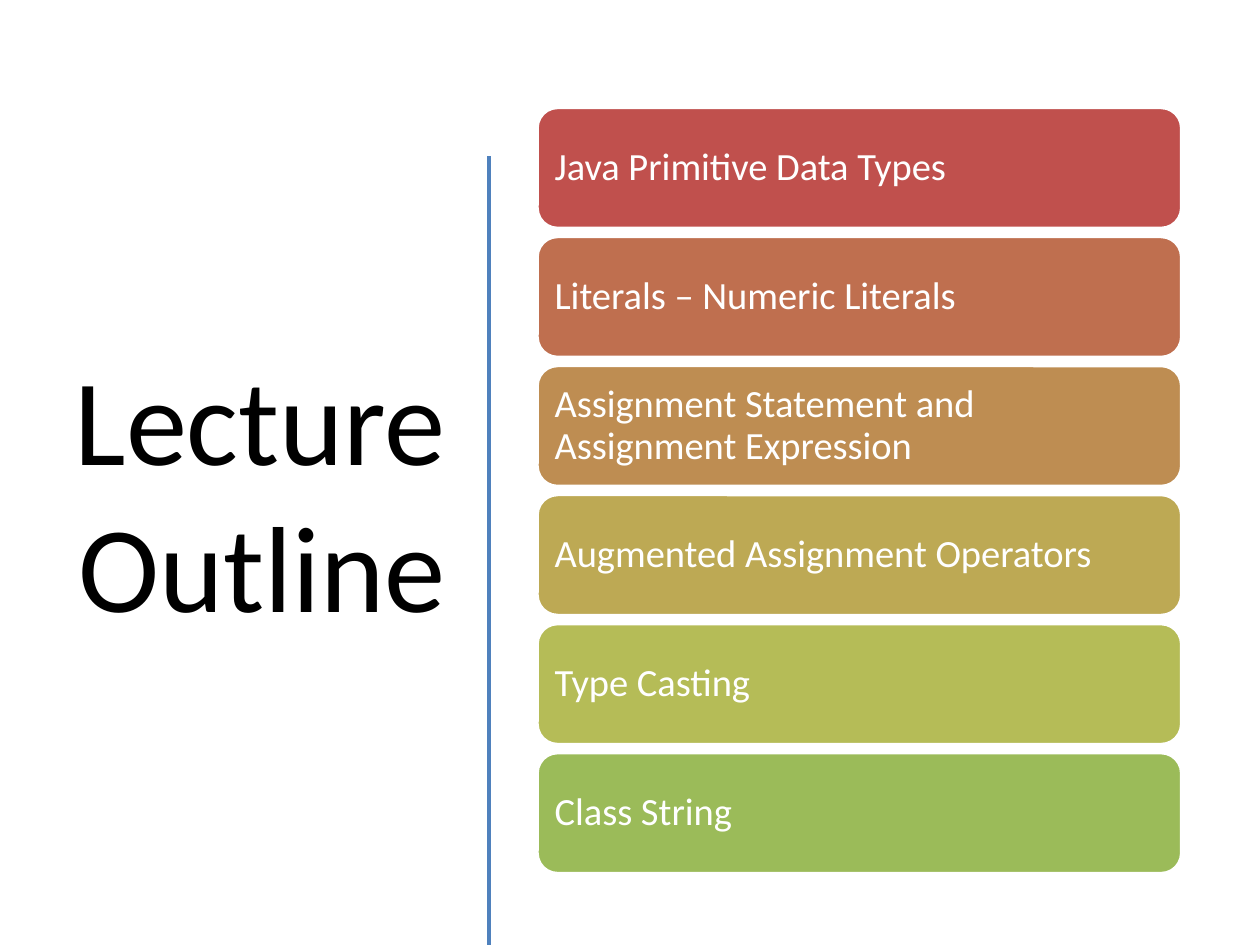
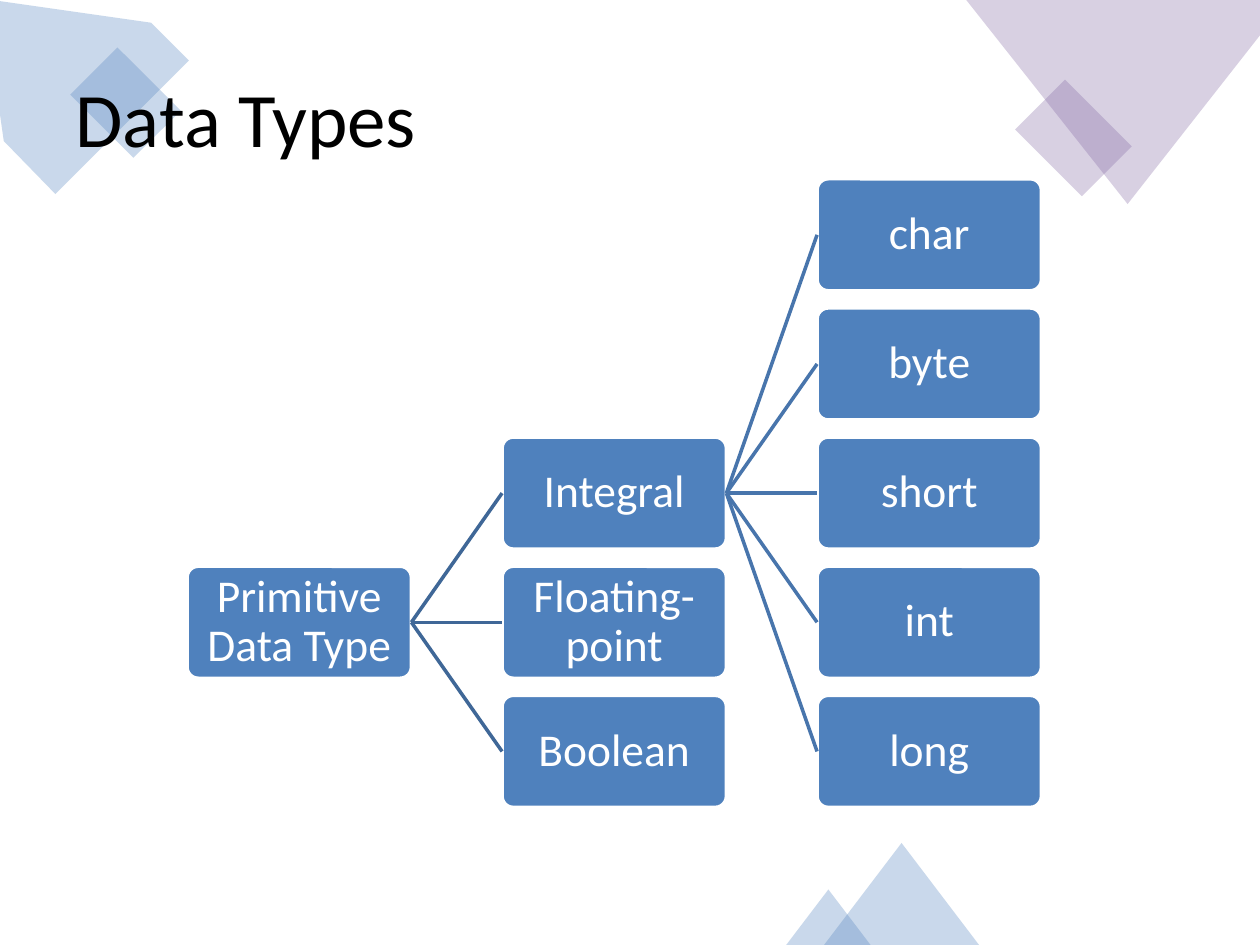
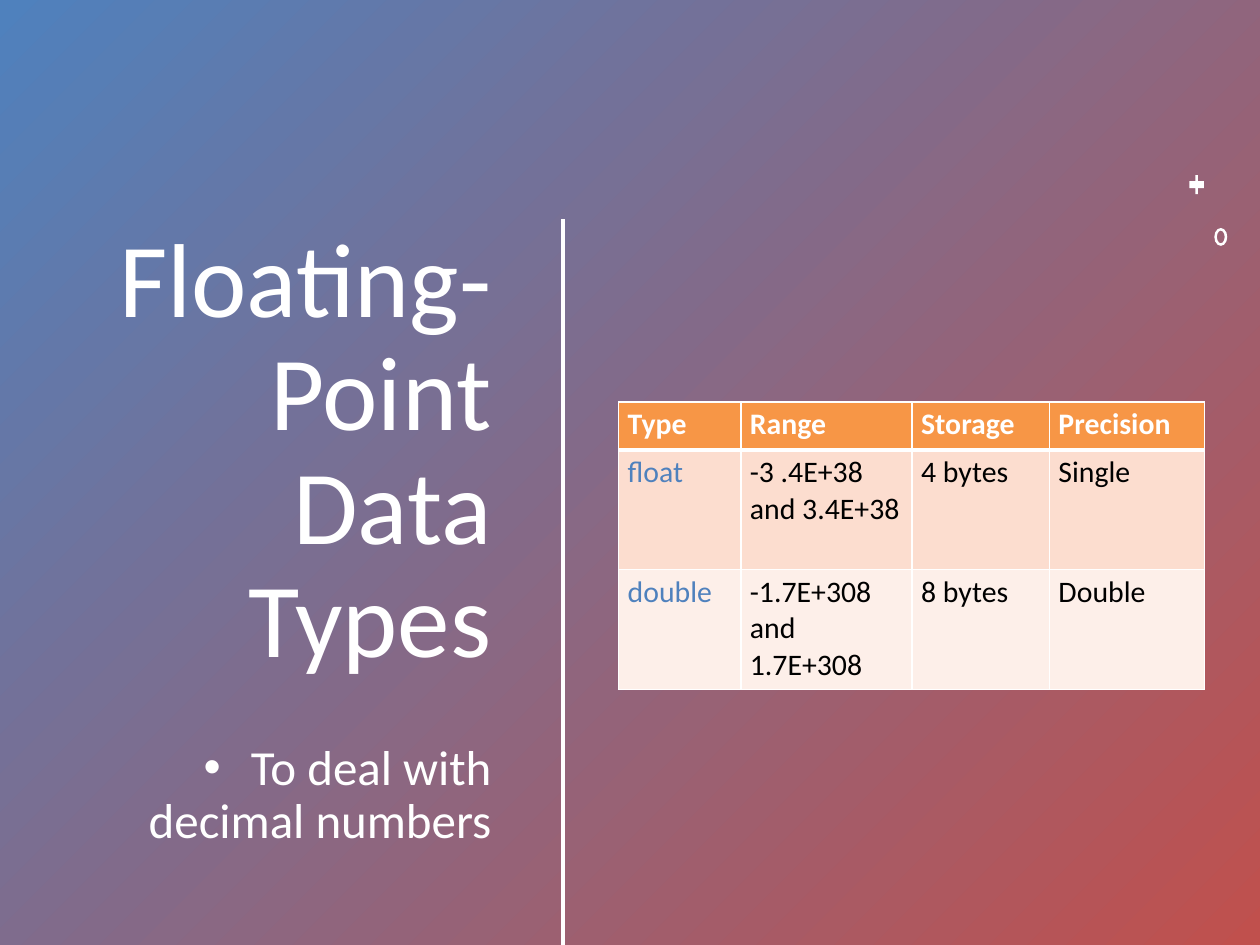
from dataclasses import dataclass

from lxml import etree
from pptx import Presentation
from pptx import util as u
from pptx.dml.color import RGBColor
from pptx.enum import shapes, text
from pptx.oxml.ns import qn


@dataclass(frozen=True)
class Theme:
    font: str = "Calibri"
    white: str = "FFFFFF"
    black: str = "000000"
    blue: str = "4F81BD"
    red: str = "C0504D"
    purple: str = "8064A2"
    header: str = "F79646"
    bands: tuple = ("FCDDCF", "FDEFE9")
    cards: tuple = ("C0504D", "BF6F4F", "BE8D52", "BDA954", "B5BC57", "9BBB59")
    root_link: str = "3F6797"
    leaf_link: str = "4875AC"
    outline_title: int = 70
    split_title: int = 60
    page_title: int = 44
    subtitle: int = 28
    node: int = 26
    card: int = 22
    cell: int = 17
    rule: int = 2
    alpha: int = 30


@dataclass(frozen=True)
class Box:
    left: float
    top: float
    width: float
    height: float

    def lengths(self):
        return [u.Pt(value) for value in (self.left, self.top, self.width, self.height)]

    def within(self, left, top, width, height):
        return Box(self.left + left, self.top + top, width, height)


THEME = Theme()
PAGE = Box(0, 0, 720, 540)
LEFT, CENTER, RIGHT = text.PP_ALIGN.LEFT, text.PP_ALIGN.CENTER, text.PP_ALIGN.RIGHT
TOP, MIDDLE = text.MSO_ANCHOR.TOP, text.MSO_ANCHOR.MIDDLE
PRESET = shapes.MSO_SHAPE


def rgb(colour):
    return RGBColor.from_string(colour)


def apply(target, values):
    for name, value in values.items():
        setattr(target, name, value)


def margins(side, end):
    return {"margin_left": u.Pt(side), "margin_right": u.Pt(side),
            "margin_top": u.Pt(end), "margin_bottom": u.Pt(end)}


def write(frame, words, size, colour, align=LEFT, spacing=1.0, bold=False):
    frame.text = words
    para = frame.paragraphs[0]
    apply(para, {"alignment": align, "line_spacing": spacing, "space_before": u.Pt(0)})
    span = para.runs[0]
    apply(span.font, {"name": THEME.font, "size": u.Pt(size), "bold": bold})
    span.font.color.rgb = rgb(colour)


def fill_placeholder(holder, box, words, size, colour, anchor, **style):
    apply(holder, dict(zip(("left", "top", "width", "height"), box.lengths())))
    apply(holder.text_frame, {"word_wrap": True, "vertical_anchor": anchor,
                              "auto_size": text.MSO_AUTO_SIZE.NONE})
    write(holder.text_frame, words, size, colour, **style)


def paint(shape, colour, alpha=None):
    shape.shadow.inherit = False
    shape.fill.solid()
    shape.fill.fore_color.rgb = rgb(colour)
    shape.line.fill.background()
    if alpha:
        etree.SubElement(shape.element.find(".//" + qn("a:srgbClr")), qn("a:alpha"),
                         val=str(alpha * 1000))
    return shape


def preset(page, kind, box, colour, alpha=None):
    return paint(page.shapes.add_shape(kind, *box.lengths()), colour, alpha)


def label_box(page, box, words, fill, size, align, inset, corner):
    shape = preset(page, PRESET.ROUNDED_RECTANGLE, box, fill)
    shape.adjustments[0] = corner
    shape.line.color.rgb = rgb(THEME.white)
    shape.line.width = u.Pt(THEME.rule)
    apply(shape.text_frame, {"word_wrap": True, "vertical_anchor": MIDDLE,
                             **margins(inset, inset)})
    write(shape.text_frame, words, size, THEME.white, align, 0.9)
    return shape


def rule(page, colour, start=(0, 0), end=(0, 0)):
    line = page.shapes.add_connector(shapes.MSO_CONNECTOR.STRAIGHT,
                                     *[u.Pt(value) for value in (*start, *end)])
    line.line.color.rgb = rgb(colour)
    line.line.width = u.Pt(THEME.rule)
    etree.SubElement(line.element.find(qn("p:spPr")), qn("a:effectLst"))
    return line


def outline_cards(page, box, topics, gap):
    height = (box.height - gap * (len(topics) - 1)) / len(topics)
    for index, (topic, colour) in enumerate(zip(topics, THEME.cards)):
        card = box.within(0, index * (height + gap), box.width, height)
        label_box(page, card, topic, colour, THEME.card, LEFT, 6.6, 0.17)


def type_tree(page, box, levels):
    width, height, column_step, row_step = 128.2, 64, 180, 73.8
    parent = None
    for column, (first_row, names, parent_index, link) in enumerate(levels):
        nodes = []
        for row, name in enumerate(names, first_row):
            place = box.within(column * column_step, row * row_step, width, height)
            node = label_box(page, place, name, THEME.blue, THEME.node, CENTER, 1.6, 0.1)
            nodes.append(node)
            if parent:
                line = rule(page, link)
                line.begin_connect(parent, 3)
                line.end_connect(node, 1)
        parent = nodes[parent_index]


def corner_decor(page, box):
    polygons = [
        (THEME.blue, [(86.4, 13), (-9.4, -0.7), (2.2, 80.6), (31.7, 110.9), (108, 34.6)]),
        (THEME.purple, [(720, 0), (552.2, 0), (644.4, 116.6), (720, 20.2)]),
    ]
    presets = [
        (PRESET.RECTANGLE, THEME.blue, 315, (52.6, 33.1, 38.2, 51.1)),
        (PRESET.RECTANGLE, THEME.purple, 315, (593.3, 51.8, 40.3, 54)),
        (PRESET.ISOSCELES_TRIANGLE, THEME.blue, 0, (470.9, 481.7, 88.6, 58.3)),
        (PRESET.ISOSCELES_TRIANGLE, THEME.blue, 0, (449.3, 508.3, 48.2, 31.7)),
    ]
    decor = []
    for colour, points in polygons:
        corners = [(u.Pt(box.left + x), u.Pt(box.top + y)) for x, y in points]
        outline = page.shapes.build_freeform(*corners[0])
        outline.add_line_segments(corners[1:], close=True)
        decor.append(paint(outline.convert_to_shape(), colour, THEME.alpha))
    for kind, colour, turn, place in presets:
        shape = preset(page, kind, box.within(*place), colour, THEME.alpha)
        shape.rotation = turn
        decor.append(shape)
    for shape in decor:
        page.shapes.title.element.addprevious(shape.element)


def gradient_backdrop(page, box):
    backdrop = preset(page, PRESET.RECTANGLE, box, THEME.blue)
    backdrop.fill.gradient()
    backdrop.fill.gradient_angle = 315
    for stop, colour, position in zip(backdrop.fill.gradient_stops,
                                      (THEME.blue, THEME.red), (0, 1)):
        stop.color.rgb = rgb(colour)
        stop.position = position
    page.shapes.title.element.addprevious(backdrop.element)


def small_marks(page, box):
    marks = [(PRESET.CROSS, (0, 0, 8.3, 10.8), 0.41),
             (PRESET.DONUT, (14.2, 30.2, 7.4, 10.2), 0.2)]
    for kind, place, adjustment in marks:
        preset(page, kind, box.within(*place), THEME.white).adjustments[0] = adjustment


def border_cell(cell, widths):
    properties = cell._tc.get_or_add_tcPr()
    for index, (side, width) in enumerate(widths.items()):
        line = etree.Element(qn("a:" + side), w=str(u.Pt(width)))
        fill = etree.SubElement(line, qn("a:solidFill"))
        etree.SubElement(fill, qn("a:srgbClr"), val=THEME.white)
        properties.insert(index, line)


def range_table(page, box, rows, widths, heights):
    table = page.shapes.add_table(len(rows), len(widths), *box.lengths()).table
    for column, width in zip(table.columns, widths):
        column.width = u.Pt(width)
    for row, height in zip(table.rows, heights):
        row.height = u.Pt(height)
    for r, row in enumerate(rows):
        for c, words in enumerate(row):
            cell = table.cell(r, c)
            head = r == 0
            apply(cell, margins(5.2, 2.6))
            cell.fill.solid()
            cell.fill.fore_color.rgb = rgb(THEME.header if head else THEME.bands[r - 1])
            colour = THEME.white if head else THEME.blue if c == 0 else THEME.black
            write(cell.text_frame, words, THEME.cell, colour, bold=head)
            border_cell(cell, {"lnL": 1, "lnR": 1, "lnT": 3 if r == 1 else 1,
                               "lnB": 3 if head else 1})


def strip_bullet(para):
    properties = para._p.get_or_add_pPr()
    apply_indent = {"marL": "0", "indent": "0"}
    for name, value in apply_indent.items():
        properties.set(name, value)
    etree.SubElement(properties, qn("a:buNone"))


def outline_slide(deck, box):
    page = deck.slides.add_slide(deck.slide_layouts[5])
    fill_placeholder(page.shapes.title, box.within(29.5, 59.8, 232.6, 439.9),
                     "Lecture Outline", THEME.outline_title, THEME.black, MIDDLE, align=RIGHT)
    x = box.left + 279.4
    rule(page, THEME.blue, (x, box.top + 89.3), (x, box.top + box.height))
    topics = ["Java Primitive Data Types", "Literals – Numeric Literals",
              "Assignment Statement and Assignment Expression",
              "Augmented Assignment Operators", "Type Casting", "Class String"]
    outline_cards(page, box.within(306.9, 61.4, 368.4, 437.8), topics, 4.6)


def tree_slide(deck, box):
    page = deck.slides.add_slide(deck.slide_layouts[5])
    fill_placeholder(page.shapes.title, box.within(36, 21.6, 648, 90),
                     "Data Types", THEME.page_title, THEME.black, MIDDLE)
    corner_decor(page, box)
    levels = [
        (3, ["Primitive Data Type"], 0, None),
        (2, ["Integral", "Floating-point", "Boolean"], 0, THEME.root_link),
        (0, ["char", "byte", "short", "int", "long"], 0, THEME.leaf_link),
    ]
    type_tree(page, box.within(106.9, 102.2, 488.2, 359.2), levels)


def range_slide(deck, box):
    page = deck.slides.add_slide(deck.slide_layouts[1])
    gradient_backdrop(page, box)
    fill_placeholder(page.shapes.title, box.within(27.4, 126, 260.6, 285.8),
                     "Floating-Point Data Types", THEME.split_title, THEME.white, TOP,
                     align=RIGHT, spacing=0.9)
    body = page.placeholders[1]
    strip_bullet(body.text_frame.paragraphs[0])
    fill_placeholder(body, box.within(27.4, 421.2, 260.6, 81.4),
                     "To deal with decimal numbers", THEME.subtitle, THEME.white, TOP,
                     align=RIGHT, spacing=0.9)
    x = box.left + 321.8
    rule(page, THEME.white, (x, box.top + 125.3), (x, box.top + box.height))
    small_marks(page, box.within(679.7, 100.1, 21.6, 40.4))
    rows = [["Type", "Range", "Storage", "Precision"],
            ["float", "-3 .4E+38 and 3.4E+38", "4 bytes", "Single"],
            ["double", "-1.7E+308 and 1.7E+308", "8 bytes", "Double"]]
    range_table(page, box.within(353.5, 229.7, 334.8, 164.2), rows,
                (69.8, 97.9, 78.5, 88.6), (27.4, 68.4, 68.4))


def main():
    deck = Presentation()
    apply(deck, {"slide_width": u.Pt(PAGE.width), "slide_height": u.Pt(PAGE.height)})
    for build in (outline_slide, tree_slide, range_slide):
        build(deck, PAGE)
    deck.save("out.pptx")


if __name__ == "__main__":
    main()
